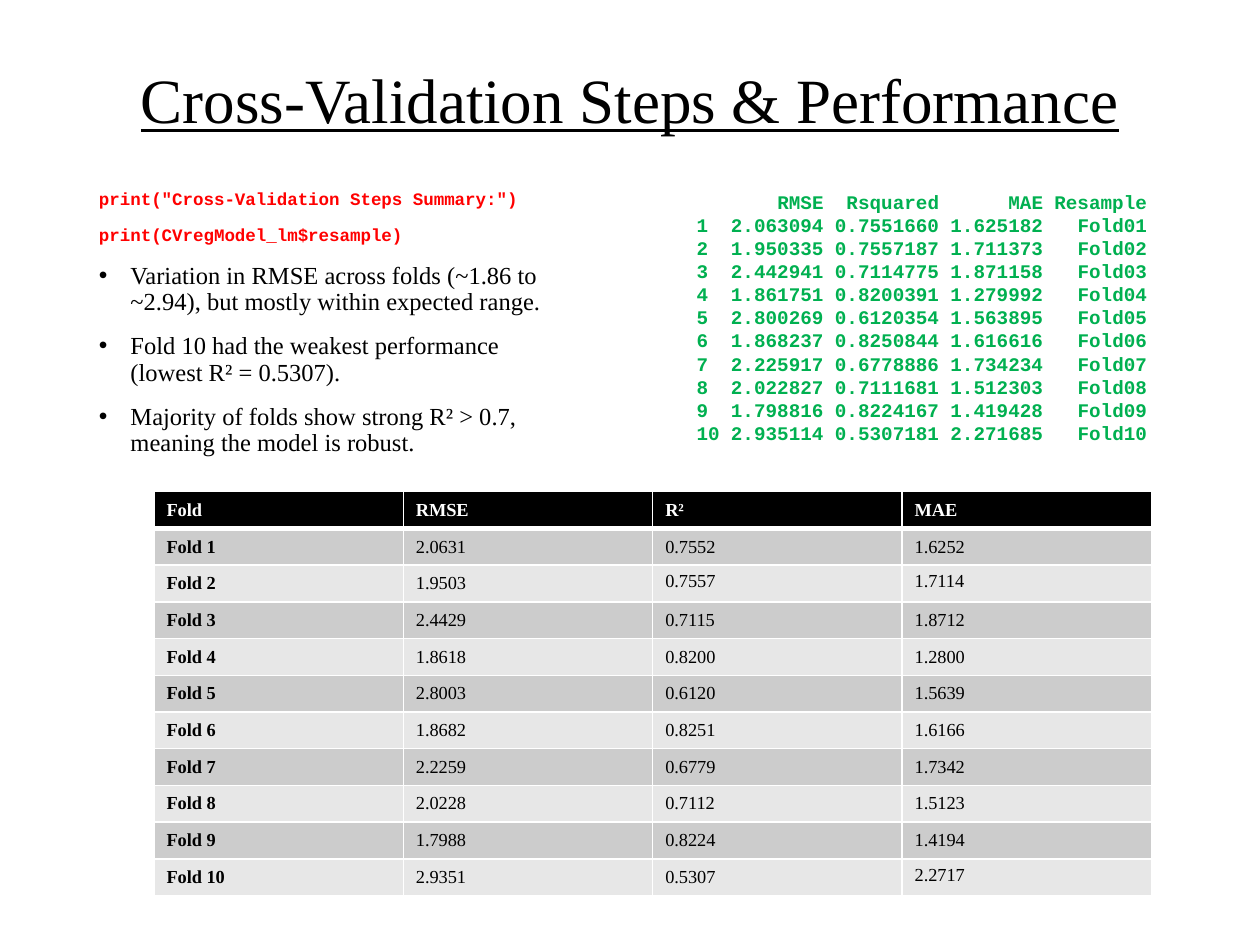
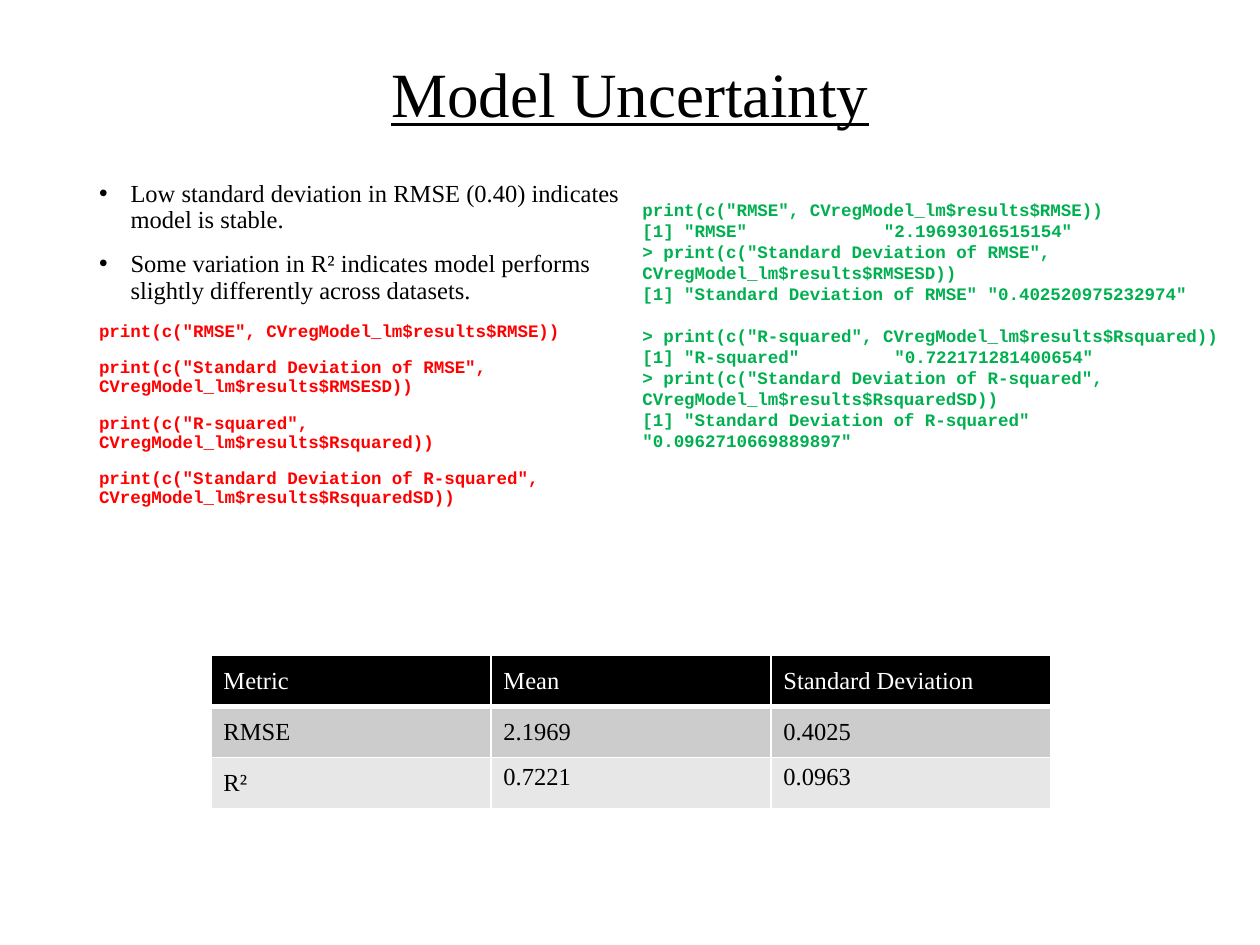
from dataclasses import dataclass

import pptx
import pptx.dml.color
import pptx.enum.text
import pptx.oxml
import pptx.oxml.ns
import pptx.util

Pt = pptx.util.Pt
ANCHOR = pptx.enum.text.MSO_ANCHOR
ALIGN = pptx.enum.text.PP_ALIGN


@dataclass(frozen=True)
class Theme:
    serif: str = "Times New Roman"
    mono: str = "Courier New"
    ink: str = "000000"
    paper: str = "FFFFFF"
    code: str = "FF0000"
    output: str = "00B050"
    bands: tuple = ("CCCCCC", "E7E7E7")
    title_size: float = 36
    body_size: float = 14
    code_size: float = 10
    fold_output_size: float = 11
    fold_table_size: float = 10.5
    rule: float = 1
    header_rule: float = 3


THEME = Theme()
MONO_ADVANCE = 0.6  # character width as a share of the type size

# Fold results: RMSE, R squared, MAE
FOLD_RESULTS = [
    ("2.063094", "0.7551660", "1.625182"),
    ("1.950335", "0.7557187", "1.711373"),
    ("2.442941", "0.7114775", "1.871158"),
    ("1.861751", "0.8200391", "1.279992"),
    ("2.800269", "0.6120354", "1.563895"),
    ("1.868237", "0.8250844", "1.616616"),
    ("2.225917", "0.6778886", "1.734234"),
    ("2.022827", "0.7111681", "1.512303"),
    ("1.798816", "0.8224167", "1.419428"),
    ("2.935114", "0.5307181", "2.271685"),
]

# Calls that report the model uncertainty
RMSE_CALL = 'print(c("RMSE", CVregModel_lm$results$RMSE))'
RMSE_SD_CALL = 'print(c("Standard Deviation of RMSE", CVregModel_lm$results$RMSESD))'
R2_CALL = 'print(c("R-squared", CVregModel_lm$results$Rsquared))'
R2_SD_CALL = 'print(c("Standard Deviation of R-squared", CVregModel_lm$results$RsquaredSD))'


# Text helpers
def rgb(color):
    return pptx.dml.color.RGBColor.from_string(color)


def add_span(para, text, font, size, color, bold=False, underline=False):
    span = para.add_run()
    span.text = text
    span.font.name = font
    span.font.size = Pt(size)
    span.font.color.rgb = rgb(color)
    span.font.bold = bold
    span.font.underline = underline


def add_box(page, left, top, width, height):
    box = page.shapes.add_textbox(Pt(left), Pt(top), Pt(width), Pt(height))
    box.text_frame.word_wrap = True
    return box.text_frame


def next_para(frame):
    first = frame.paragraphs[0]
    return frame.add_paragraph() if first.runs else first


def add_bullet(para):
    properties = para._p.get_or_add_pPr()
    properties.set("marL", str(Pt(18)))
    properties.set("indent", str(Pt(-18)))
    namespace = pptx.oxml.ns.nsdecls("a")
    for tag in (f'<a:buFont {namespace} typeface="Arial"/>',
                f'<a:buChar {namespace} char="•"/>'):
        properties.append(pptx.oxml.parse_xml(tag))


def set_tabs(para, columns, size, side):
    """Place tab stops at the given character columns."""
    stops = "".join(
        f'<a:tab pos="{Pt(column * size * MONO_ADVANCE)}" algn="{side}"/>'
        for column in columns)
    para._p.get_or_add_pPr().append(pptx.oxml.parse_xml(
        f'<a:tabLst {pptx.oxml.ns.nsdecls("a")}>{stops}</a:tabLst>'))


# Slide elements
def add_title(page, text, height):
    frame = add_box(page, 49.5, 28.8, 621, height)
    frame.vertical_anchor = ANCHOR.MIDDLE
    para = frame.paragraphs[0]
    para.alignment = ALIGN.CENTER
    para.line_spacing = 0.9
    add_span(para, text, THEME.serif, THEME.title_size, THEME.ink, underline=True)


def add_body_para(frame):
    para = next_para(frame)
    para.line_spacing = 0.9
    para.space_before = Pt(10)
    return para


def add_points(frame, points):
    for point in points:
        para = add_body_para(frame)
        add_bullet(para)
        add_span(para, point, THEME.serif, THEME.body_size, THEME.ink)


def add_code(frame, calls):
    for call in calls:
        add_span(add_body_para(frame), call, THEME.mono, THEME.code_size,
                 THEME.code, bold=True)


def add_output_line(frame, text, size, columns=(), side="l", gap=0):
    para = next_para(frame)
    if gap:
        para.space_before = Pt(gap)
    if columns:
        set_tabs(para, columns, size, side)
    add_span(para, text, THEME.mono, size, THEME.output, bold=True)


def set_borders(cell, bottom):
    properties = cell._tc.get_or_add_tcPr()
    widths = {"lnL": THEME.rule, "lnR": THEME.rule, "lnT": THEME.rule, "lnB": bottom}
    for edge, width in widths.items():
        properties.append(pptx.oxml.parse_xml(
            f'<a:{edge} {pptx.oxml.ns.nsdecls("a")} w="{Pt(width)}"><a:solidFill>'
            f'<a:srgbClr val="{THEME.paper}"/></a:solidFill></a:{edge}>'))


def add_table(page, rows, left, top, column_width, row_height, size,
              bold_labels=False, top_cells=()):
    """Header row over banded rows; top_cells lists the cells not centred vertically."""
    row_count, column_count = len(rows), len(rows[0])
    table = page.shapes.add_table(
        row_count, column_count, Pt(left), Pt(top),
        Pt(column_width * column_count), Pt(row_height * row_count)).table
    for column in table.columns:
        column.width = Pt(column_width)
    for row_index, row in enumerate(rows):
        table.rows[row_index].height = Pt(row_height)
        header = row_index == 0
        fill = THEME.ink if header else THEME.bands[(row_index - 1) % 2]
        for column_index, text in enumerate(row):
            cell = table.cell(row_index, column_index)
            set_borders(cell, THEME.header_rule if header else THEME.rule)
            cell.fill.solid()
            cell.fill.fore_color.rgb = rgb(fill)
            at_top = (row_index, column_index) in top_cells
            cell.vertical_anchor = ANCHOR.TOP if at_top else ANCHOR.MIDDLE
            add_span(cell.text_frame.paragraphs[0], text, THEME.serif, size,
                     THEME.paper if header else THEME.ink,
                     bold=bold_labels and (header or column_index == 0))


# Slides
def build_cross_validation(page):
    add_title(page, "Cross-Validation Steps & Performance", 60.5)

    body = add_box(page, 49.5, 105, 279.5, 337)
    add_code(body, ['print("Cross-Validation Steps Summary:")',
                    "print(CVregModel_lm$resample)"])
    add_points(body, [
        "Variation in RMSE across folds (~1.86 to ~2.94), but mostly within expected range.",
        "Fold 10 had the weakest performance (lowest R² = 0.5307).",
        "Majority of folds show strong R² > 0.7, meaning the model is robust.",
    ])

    output = add_box(page, 391, 105, 286, 154)
    lines = [("", "RMSE", "Rsquared", "MAE", "Resample")]
    lines += [(str(number), *values, f"Fold{number:02}")
              for number, values in enumerate(FOLD_RESULTS, 1)]
    for line in lines:
        add_output_line(output, "\t".join(line), THEME.fold_output_size,
                        columns=(11, 21, 30, 39), side="r")

    rows = [("Fold", "RMSE", "R²", "MAE")]
    rows += [(f"Fold {number}", *(f"{float(value):.4f}" for value in values))
             for number, values in enumerate(FOLD_RESULTS, 1)]
    add_table(page, rows, 88, 281, 142.5, 21, THEME.fold_table_size,
              bold_labels=True, top_cells={(2, 2), (2, 3), (10, 3)})


def build_uncertainty(page):
    add_title(page, "Model Uncertainty", 53.5)

    body = add_box(page, 49.5, 100, 320.5, 386.5)
    add_points(body, [
        "Low standard deviation in RMSE (0.40) indicates model is stable.",
        "Some variation in R² indicates model performs slightly differently across datasets.",
    ])
    add_code(body, [RMSE_CALL, RMSE_SD_CALL, R2_CALL, R2_SD_CALL])

    add_table(page, [
        ("Metric", "Mean", "Standard Deviation"),
        ("RMSE", "2.1969", "0.4025"),
        ("R²", "0.7221", "0.0963"),
    ], 120.5, 374.5, 160, 29.2, THEME.body_size, top_cells={(2, 1), (2, 2)})

    output = add_box(page, 360, 110, 350, 140.5)
    size = THEME.code_size
    add_output_line(output, RMSE_CALL, size)
    add_output_line(output, '[1] "RMSE"\t"2.19693016515154"', size, columns=[23])
    add_output_line(output, f"> {RMSE_SD_CALL}", size)
    add_output_line(output, '[1] "Standard Deviation of RMSE" "0.402520975232974"', size)
    add_output_line(output, f"> {R2_CALL}", size, gap=12)
    add_output_line(output, '[1] "R-squared"\t"0.722171281400654"', size, columns=[24])
    add_output_line(output, f"> {R2_SD_CALL}", size)
    add_output_line(output, '[1] "Standard Deviation of R-squared" "0.0962710669889897"', size)


def main():
    deck = pptx.Presentation()
    deck.slide_width, deck.slide_height = Pt(720), Pt(540)
    blank = deck.slide_layouts[6]
    for build in (build_cross_validation, build_uncertainty):
        build(deck.slides.add_slide(blank))
    deck.save("out.pptx")


if __name__ == "__main__":
    main()
